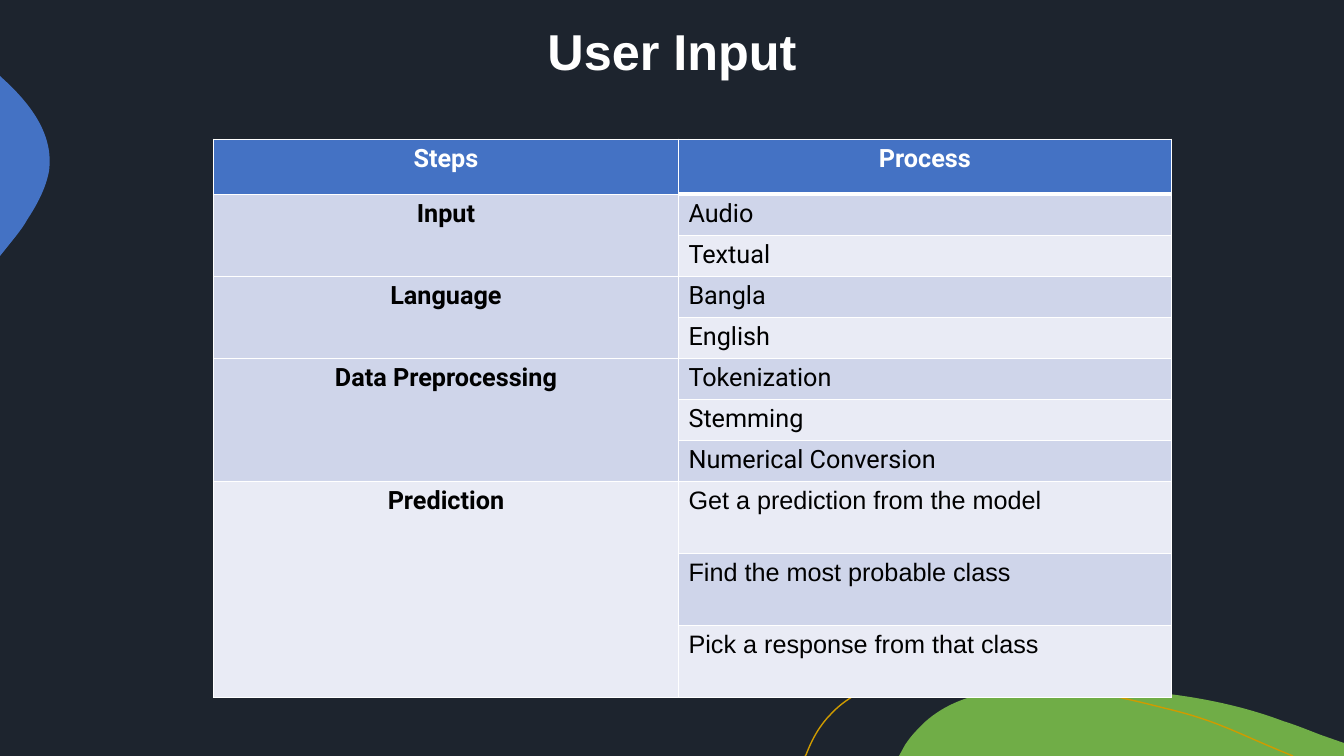
from lxml import etree
from pptx import Presentation
from pptx import util as u
from pptx.dml.color import RGBColor
from pptx.enum import text
from pptx.oxml import ns

PX = 914400 / 100.8  # EMU in one px; the slide is 1344 x 756 px

NIGHT = RGBColor(0x1D, 0x24, 0x2E)
WHITE = RGBColor(0xFF, 0xFF, 0xFF)
BLACK = RGBColor(0x00, 0x00, 0x00)
BLUE = RGBColor(0x44, 0x72, 0xC4)
GREEN = RGBColor(0x70, 0xAD, 0x47)
GOLD = RGBColor(0xCF, 0x9B, 0x00)
BAND_DARK = RGBColor(0xCF, 0xD5, 0xEA)
BAND_LIGHT = RGBColor(0xE9, 0xEB, 0xF5)

# Outlines relative to their box: one point is a line, three are a curve
GREEN_HILL = [
    [(163, 0)], [(238, 0), (315, 7), (384, 33)],
    [(397, 37), (409, 42), (422, 47)], [(445, 55)], [(445, 68)], [(0, 68)],
    [(6, 57)], [(10, 51), (14, 46), (19, 41)],
    [(47, 10), (91, 1), (132, 0)], [(142, 0), (153, 0), (163, 0)]]
BLUE_BULGE = [
    [(0, 0)], [(1, 1)], [(30, 27), (54, 58), (49, 95)],
    [(46, 112), (37, 129), (27, 144)],
    [(24, 150), (17, 159), (8, 170)], [(0, 180)]]
GOLD_ARC = [
    [(0, 79)], [(1, 78)], [(7, 62), (15, 48), (26, 37)],
    [(52, 9), (91, 1), (128, 0)], [(158, 0)],
    [(225, 0), (304, 17), (359, 31)], [(414, 44), (431, 56), (488, 79)]]

# Each step with its font and row height in px, and its processes
STEPS = [
    ("Input", "Roboto", 41, ["Audio", "Textual"]),
    ("Language", "Roboto", 41, ["Bangla", "English"]),
    ("Data Preprocessing", "Roboto", 41,
     ["Tokenization", "Stemming", "Numerical Conversion"]),
    ("Prediction", "Arial", 72,
     ["Get a prediction from the model", "Find the most probable class",
      "Pick a response from that class"]),
]


def px(n):
    return u.Emu(round(n * PX))


def write(tf, words, size=18, font="Roboto", color=BLACK, bold=False,
          align=text.PP_ALIGN.LEFT):
    p = tf.paragraphs[0]
    p.alignment = align
    r = p.add_run()
    r.text = words
    r.font.size, r.font.name, r.font.bold = u.Pt(size), font, bold
    r.font.color.rgb = color


def bend(sp, outline):
    """Replace the lines of a freeform by curves where its outline has them."""
    lines = list(sp._element.iter(ns.qn("a:lnTo")))
    for line, segment in zip(lines, outline[1:]):
        if len(segment) == 3:
            curve = etree.Element(ns.qn("a:cubicBezTo"))
            for x, y in segment:
                etree.SubElement(curve, ns.qn("a:pt"), x=str(px(x)), y=str(px(y)))
            line.getparent().replace(line, curve)


def add_blob(s, left, top, outline, fill=None, line=None):
    ends = [(px(left) + px(x), px(top) + px(y))
            for x, y in (segment[-1] for segment in outline)]
    builder = s.shapes.build_freeform(*ends[0])
    builder.add_line_segments(ends[1:], close=fill is not None)
    sp = builder.convert_to_shape()
    bend(sp, outline)
    sp.shadow.inherit = False
    if fill is None:
        sp.fill.background()
    else:
        sp.fill.solid()
        sp.fill.fore_color.rgb = fill
    if line is None:
        sp.line.fill.background()
    else:
        sp.line.color.rgb = line
        sp.line.width = u.Pt(1)


def add_title(s, left, top, width, height, words):
    sp = s.shapes.title
    sp.left, sp.top, sp.width, sp.height = map(px, (left, top, width, height))
    tf = sp.text_frame
    tf.word_wrap = False
    tf.auto_size = text.MSO_AUTO_SIZE.SHAPE_TO_FIT_TEXT
    tf.vertical_anchor = text.MSO_ANCHOR.TOP
    tf.paragraphs[0].line_spacing = 1.0
    tf.paragraphs[0].space_before = u.Pt(0)
    write(tf, words, size=36, font="Arial", color=WHITE, bold=True,
          align=text.PP_ALIGN.CENTER)


def style_cell(cell, fill, top=1, bottom=1):
    tcPr = cell._tc.get_or_add_tcPr()
    for side, width in zip("LRTB", (1, 1, top, bottom)):
        ln = etree.SubElement(tcPr, ns.qn(f"a:ln{side}"), w=str(u.Pt(width)))
        solid = etree.SubElement(ln, ns.qn("a:solidFill"))
        etree.SubElement(solid, ns.qn("a:srgbClr"), val=str(WHITE))
    cell.fill.solid()
    cell.fill.fore_color.rgb = fill


def add_steps_table(s, left, top, col_widths, header_height):
    heights = [header_height] + [h for _, _, h, names in STEPS for _ in names]
    table = s.shapes.add_table(
        len(heights), 2, px(left), px(top),
        px(sum(col_widths)), px(sum(heights))).table
    for col, width in zip(table.columns, col_widths):
        col.width = px(width)
    for row, height in zip(table.rows, heights):
        row.height = px(height)

    # Header, with a thick rule under the second column
    for col, (words, rule) in enumerate([("Steps", 1), ("Process", 3)]):
        cell = table.cell(0, col)
        style_cell(cell, BLUE, bottom=rule)
        write(cell.text_frame, words, color=WHITE, bold=True,
              align=text.PP_ALIGN.CENTER)

    # Steps: one merged cell beside its banded processes
    first = 1
    for step, font, _, names in STEPS:
        step_fill = BAND_DARK if first % 2 else BAND_LIGHT
        for row, name in enumerate(names, first):
            style_cell(table.cell(row, 0), step_fill)
            cell = table.cell(row, 1)
            style_cell(cell, BAND_DARK if row % 2 else BAND_LIGHT,
                       top=3 if row == 1 else 1)
            write(cell.text_frame, name, font=font)
        cell = table.cell(first, 0)
        cell.merge(table.cell(first + len(names) - 1, 0))
        write(cell.text_frame, step, bold=True, align=text.PP_ALIGN.CENTER)
        first += len(names)


def main():
    prs = Presentation()
    prs.slide_width, prs.slide_height = px(1344), px(756)
    s = prs.slides.add_slide(prs.slide_layouts[5])
    s.background.fill.solid()
    s.background.fill.fore_color.rgb = NIGHT

    # Decoration
    add_blob(s, 899, 688, GREEN_HILL, fill=GREEN)
    add_blob(s, 0, 76, BLUE_BULGE, fill=BLUE)
    add_blob(s, 805, 677, GOLD_ARC, line=GOLD)

    # Content
    add_title(s, 534, 15, 276, 72, "User Input")
    add_steps_table(s, 213.5, 139.2, (465, 493), 55)
    prs.save("out.pptx")


if __name__ == "__main__":
    main()
